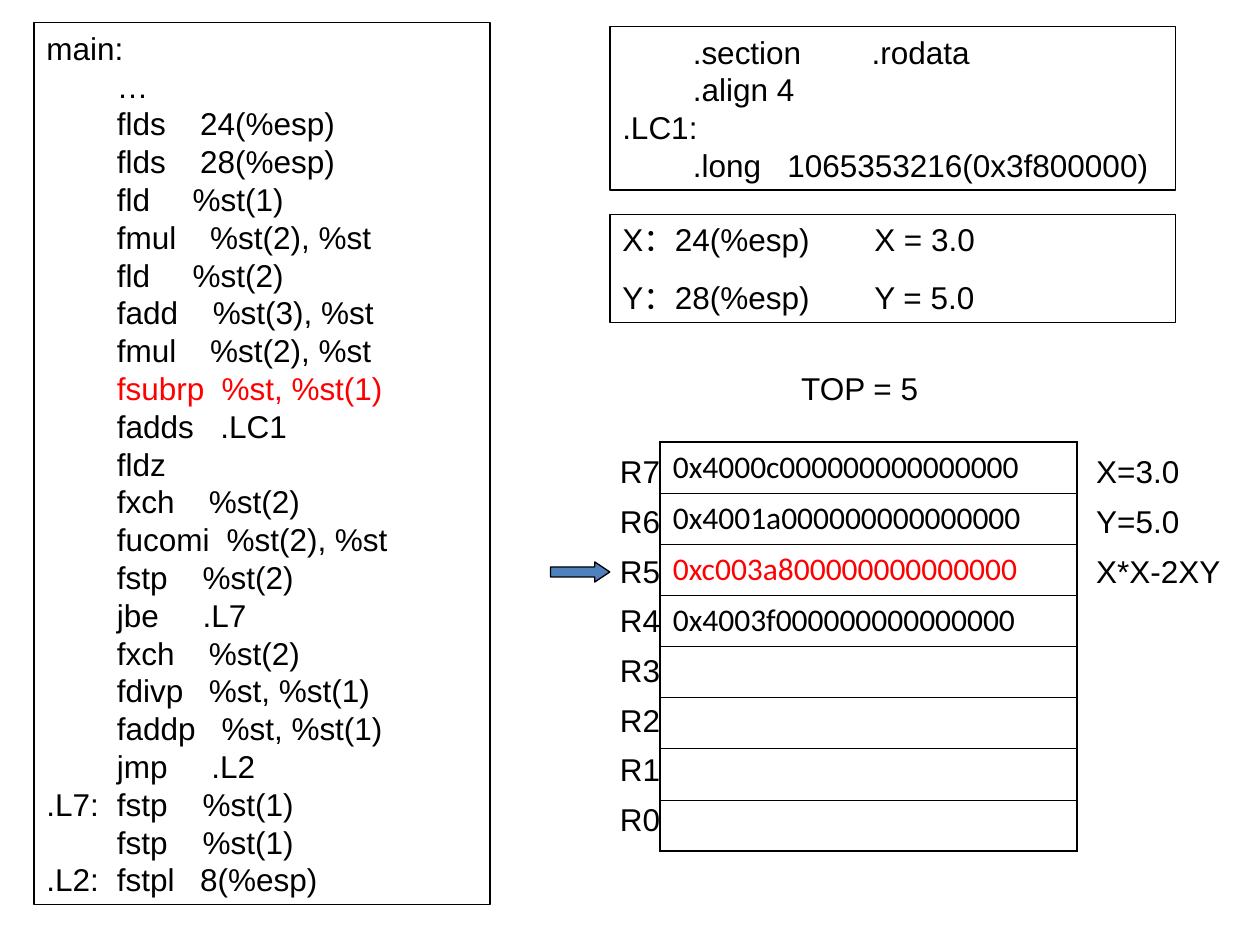
from pptx import Presentation
from pptx.dml.color import RGBColor
from pptx.enum.shapes import MSO_SHAPE as Shape
from pptx.enum.text import MSO_ANCHOR as Anchor, PP_ALIGN as Align
from pptx.oxml.ns import qn
from pptx.util import Inches, Pt
from lxml.etree import SubElement

BLACK, RED, BLUE = "000000", "FF0000", "4F81BD"
STEP = 0.56

CODE = [
    ("main:", "", ""), ("", "…", ""),
    ("", "flds", "24(%esp)"), ("", "flds", "28(%esp)"),
    ("", "fld", "%st(1)"), ("", "fmul", "%st(2), %st"),
    ("", "fld", "%st(2)"), ("", "fadd", "%st(3), %st"),
    ("", "fmul", "%st(2), %st"), ("", "fsubrp", "%st, %st(1)"),
    ("", "fadds", ".LC1"), ("", "fldz", ""),
    ("", "fxch", "%st(2)"), ("", "fucomi", "%st(2), %st"),
    ("", "fstp", "%st(2)"), ("", "jbe", ".L7"),
    ("", "fxch", "%st(2)"), ("", "fdivp", "%st, %st(1)"),
    ("", "faddp", "%st, %st(1)"), ("", "jmp", ".L2"),
    (".L7:", "fstp", "%st(1)"), ("", "fstp", "%st(1)"),
    (".L2:", "fstpl", "8(%esp)"),
]
DATA = [
    ("", ".section", ".rodata"), ("", ".align 4", ""),
    (".LC1:", "", ""), ("", ".long", "1065353216(0x3f800000)"),
]
STOPS = {
    "flds": 1.22, "fld": 1.16, "fmul": 1.3, "fadd": 1.32, "fsubrp": 1.39,
    "fadds": 1.38, "fxch": 1.29, "fucomi": 1.43, "fstp": 1.24, "jbe": 1.24,
    "fdivp": 1.29, "faddp": 1.39, "jmp": 1.31, "fstpl": 1.22,
    ".section": 1.98, ".long": 1.31,
}
VARS = ["X：24(%esp)\tX = 3.0", "Y：28(%esp)\tY = 5.0"]
REGS = [
    ("R7", "0x4000c000000000000000", "X=3.0", 0.79),
    ("R6", "0x4001a000000000000000", "Y=5.0", 0.71),
    ("R5", "0xc003a800000000000000", "X*X-2XY", 1.02),
    ("R4", "0x4003f000000000000000", "", 0),
    ("R3", "", "", 0), ("R2", "", "", 0), ("R1", "", "", 0), ("R0", "", "", 0),
]


def tint(text):
    return RGBColor.from_string(text)


def style(para, text, color=BLACK, face="Arial", gap=0, stops=()):
    para.text = text
    para.alignment = Align.LEFT
    para.space_before = Pt(gap)
    if stops:
        tabs = SubElement(para._p.get_or_add_pPr(), qn("a:tabLst"))
        for stop in stops:
            SubElement(tabs, qn("a:tab"), pos=str(Inches(stop)), algn="l")
    font = para.font
    font.size, font.name = Pt(18), face
    font.color.rgb = tint(color)


def fill(frame, lines):
    frame.word_wrap = True
    frame.vertical_anchor = Anchor.TOP
    for i, (text, look) in enumerate(lines):
        para = frame.paragraphs[0] if i == 0 else frame.add_paragraph()
        style(para, text, **look)


def draw(slide, kind, box):
    shape = slide.shapes.add_shape(kind, *map(Inches, box))
    shape.shadow.inherit = False
    shape.fill.background()
    shape.line.color.rgb = tint(BLACK)
    shape.line.width = Pt(0.75)
    return shape


def label(slide, box, text, pad=0):
    frame = slide.shapes.add_textbox(*map(Inches, box)).text_frame
    if not pad:
        frame.margin_left = frame.margin_right = 0
        frame.margin_top = frame.margin_bottom = 0
    fill(frame, [(text, {"gap": 11.2})])


def listing(rows):
    lines = []
    for row in rows:
        stops = [STEP, STOPS[row[1]]] if row[2] else [STEP]
        color = RED if row[1] == "fsubrp" else BLACK
        text = "\t".join(row).rstrip("\t")
        lines.append((text, {"color": color, "stops": stops}))
    return lines


def edge(cell, widths):
    props = cell._tc.get_or_add_tcPr()
    for i, (side, width) in enumerate(widths):
        line = props.makeelement(qn("a:" + side), {"w": str(Pt(width))})
        solid = SubElement(line, qn("a:solidFill"))
        SubElement(solid, qn("a:srgbClr"), val=BLACK)
        props.insert(i, line)


def stack(slide):
    box = map(Inches, (5.24, 3.51, 3.31, 3.2))
    table = slide.shapes.add_table(len(REGS), 1, *box).table
    table.first_row = table.horz_banding = False
    last = len(REGS) - 1
    for i, (name, value, note, wide) in enumerate(REGS):
        table.rows[i].height = Inches(0.4)
        cell = table.cell(i, 0)
        cell.fill.background()
        color = RED if name == "R5" else BLACK
        style(cell.text_frame.paragraphs[0], value, color, "Calibri", 4.5)
        top = 1.08 if i == 0 else 0.45
        base = 1.08 if i == last else 0.45
        edge(cell, [("lnL", 1.08), ("lnR", 1.08), ("lnT", top), ("lnB", base)])
        y = 3.59 + i * 2.76 / last
        label(slide, (4.92, y, 0.39, 0.3), name)
        if note:
            label(slide, (8.7, y, wide, 0.3), note)


def main():
    deck = Presentation()
    deck.slide_width, deck.slide_height = Inches(10), Inches(7.5)
    slide = deck.slides.add_slide(deck.slide_layouts[6])
    pairs = [(text, {"gap": 11.2, "stops": [2]}) for text in VARS]
    for box, lines in [
        ((0.27, 0.18, 3.62, 7), listing(CODE)),
        ((4.84, 0.21, 4.49, 1.3), listing(DATA)),
        ((4.84, 1.7, 4.49, 0.86), pairs),
    ]:
        fill(draw(slide, Shape.RECTANGLE, box).text_frame, lines)
    stack(slide)
    label(slide, (6.26, 2.88, 1.18, 0.4), "TOP = 5", 1)
    arrow = draw(slide, Shape.RIGHT_ARROW, (4.37, 4.46, 0.47, 0.16))
    arrow.adjustments[1] = 0.75
    arrow.fill.solid()
    arrow.fill.fore_color.rgb = tint(BLUE)
    deck.save("out.pptx")


if __name__ == "__main__":
    main()
